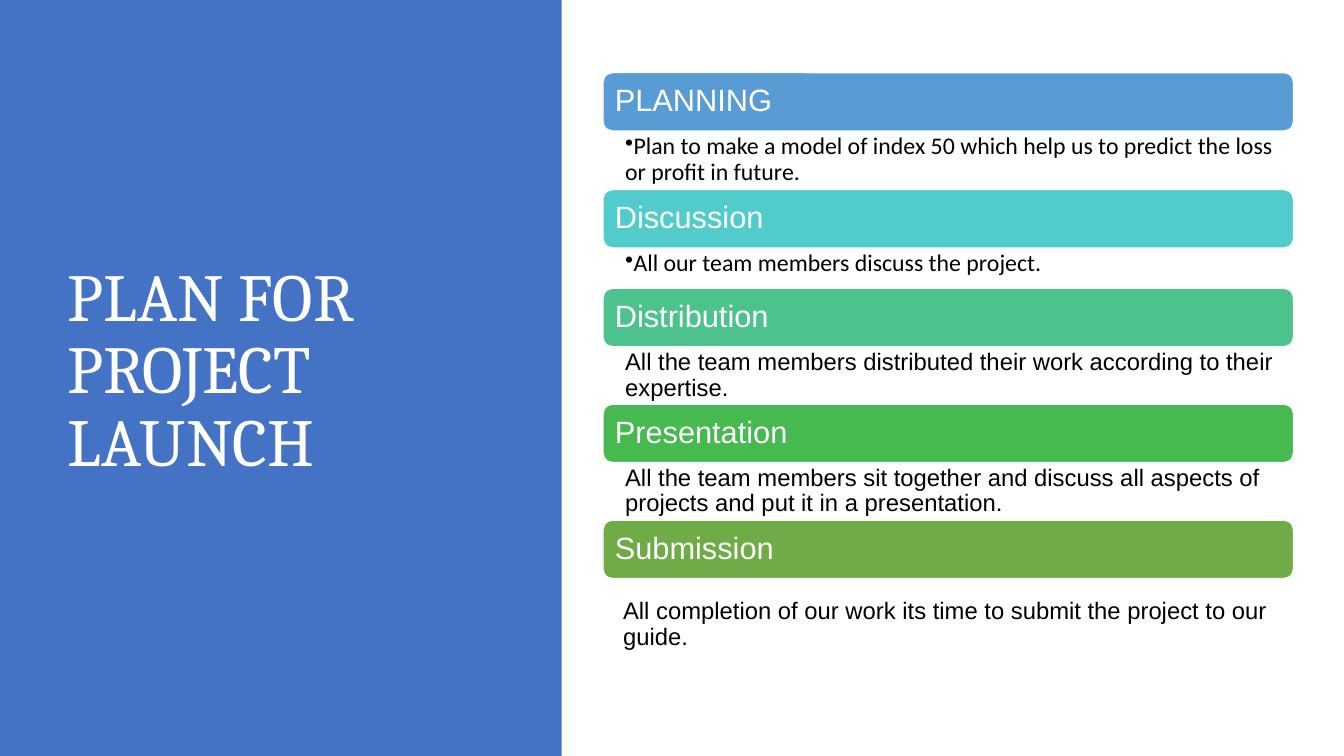
from lxml.etree import SubElement
from pptx import Presentation
from pptx.dml.color import RGBColor
from pptx.enum.shapes import MSO_SHAPE as Shape
from pptx.enum.text import MSO_ANCHOR as Anchor, PP_ALIGN as Align
from pptx.oxml.ns import qn
from pptx.util import Inches, Pt

COLORS = {
    "panel": "4472C4", "white": "FFFFFF", "black": "000000",
    "planning": "599BD5", "discussion": "52CBCC", "distribution": "4CC38C",
    "presentation": "46BA4E", "submission": "6FAB46",
}
STEPS_LEFT, STEPS_TOP, STEPS_WIDTH = 5.98, 0.72, 6.85
HEADING_HEIGHT = 0.58
TIGHT_INSETS = (0.22, 0.03, 0.17, 0.03)
WIDE_INSETS = (0.2, 0.2, 0.2, 0.2)

# heading, colour, detail, detail height, insets, bulleted
STEPS = [
    ("PLANNING", "planning",
     "Plan to make a model of index 50 which help us to predict the loss or profit in future.",
     0.58, TIGHT_INSETS, True),
    ("Discussion", "discussion", "All our team members discuss the project.",
     0.4, TIGHT_INSETS, True),
    ("Distribution", "distribution",
     "All the team members distributed their work according to their expertise.",
     0.57, TIGHT_INSETS, False),
    ("Presentation", "presentation",
     "All the team members sit together and discuss all aspects of projects "
     "and put it in a presentation.",
     0.57, TIGHT_INSETS, False),
    ("Submission", "submission",
     "All completion of our work its time to submit the project to our guide.",
     0.92, WIDE_INSETS, False),
]


class SlideBuilder:
    """Holds the current slide and the style shared by its elements."""

    def __init__(self, slide):
        self.slide = slide
        self.shapes = slide.shapes

    def color(self, name):
        return RGBColor.from_string(COLORS[name])

    def set_text(self, shape, text, font, size, color, insets, anchor):
        frame = shape.text_frame
        frame.text = text
        frame.word_wrap = True
        frame.vertical_anchor = anchor
        (frame.margin_left, frame.margin_top,
         frame.margin_right, frame.margin_bottom) = map(Inches, insets)
        paragraph = frame.paragraphs[0]
        paragraph.alignment = Align.LEFT
        paragraph.line_spacing = 0.9
        run_font = paragraph.runs[0].font
        run_font.name, run_font.size = font, Pt(size)
        run_font.color.rgb = self.color(color)
        return paragraph

    def block(self, kind, box, fill):
        shape = self.shapes.add_shape(kind, *map(Inches, box))
        shape.shadow.inherit = False
        shape.fill.solid()
        shape.fill.fore_color.rgb = self.color(fill)
        shape.line.fill.background()
        return shape

    def title(self, text, box):
        title = self.shapes.title
        title.left, title.top, title.width, title.height = map(Inches, box)
        self.set_text(title, text, "Cambria", 48, "white", (0.1, 0.05, 0.1, 0.05), Anchor.MIDDLE)
        # Bring the title in front of the side panel
        self.shapes.element.append(title.element)

    def heading(self, text, box, fill):
        shape = self.block(Shape.ROUNDED_RECTANGLE, box, fill)
        shape.line.color.rgb = self.color("white")
        shape.line.width = Pt(1)
        self.set_text(shape, text, "Arial", 22, "white", (0.09,) * 4, Anchor.MIDDLE)

    def detail(self, text, box, insets, bulleted):
        shape = self.shapes.add_textbox(*map(Inches, box))
        font = "Calibri" if bulleted else "Arial"
        paragraph = self.set_text(shape, text, font, 17, "black", insets, Anchor.TOP)
        if bulleted:
            self.bullet(paragraph)

    def bullet(self, paragraph):
        properties = paragraph._p.get_or_add_pPr()
        properties.set("marL", "0")
        properties.set("indent", str(-Inches(0.12)))
        SubElement(properties, qn("a:buChar")).set("char", "•")


def main():
    presentation = Presentation()
    presentation.slide_width, presentation.slide_height = Inches(13.33), Inches(7.5)
    builder = SlideBuilder(presentation.slides.add_slide(presentation.slide_layouts[5]))

    builder.block(Shape.RECTANGLE, (0, 0, 5.57, 7.5), "panel")
    builder.title("PLAN FOR PROJECT LAUNCH", (0.57, 0.68, 4.16, 6.02))

    top = STEPS_TOP
    for heading, fill, detail, detail_height, insets, bulleted in STEPS:
        builder.heading(heading, (STEPS_LEFT, top, STEPS_WIDTH, HEADING_HEIGHT), fill)
        top += HEADING_HEIGHT
        builder.detail(detail, (STEPS_LEFT, top, STEPS_WIDTH, detail_height), insets, bulleted)
        top += detail_height

    presentation.save("out.pptx")


if __name__ == "__main__":
    main()
